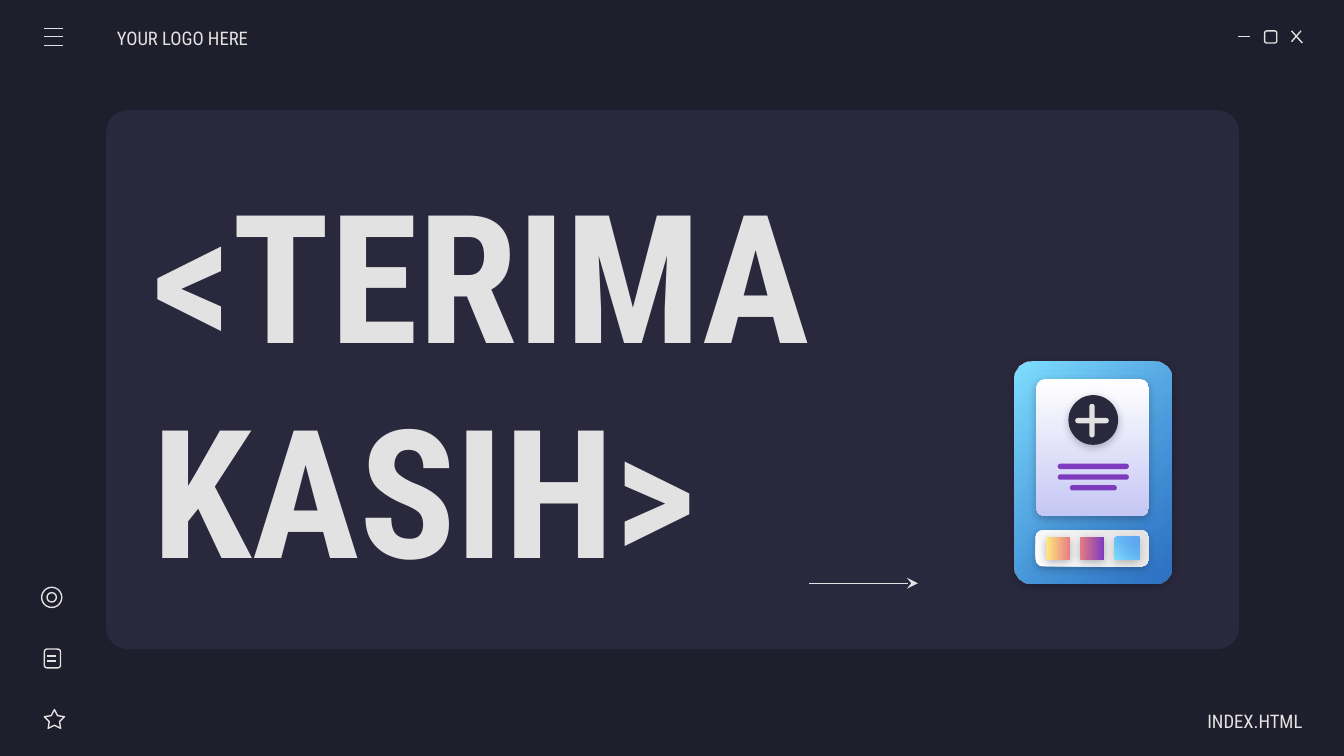
"""Build a dark thank-you slide framed like a code editor window."""
from dataclasses import dataclass
from typing import NamedTuple, Optional

from lxml.etree import SubElement as Sub
from pptx import Presentation as Deck
from pptx.dml.color import RGBColor as Rgb
from pptx.enum.shapes import MSO_CONNECTOR as Link, MSO_SHAPE as Kind
from pptx.enum.text import MSO_ANCHOR as Anchor, PP_ALIGN as Align
from pptx.oxml.ns import qn
from pptx.util import Inches, Pt


@dataclass(frozen=True)
class Theme:
    back: str = "1E1E2C"
    panel: str = "29283D"
    light: str = "E2E2E2"
    white: str = "FFFFFF"
    lilac: str = "C5C7F4"
    purple: str = "7E3BBE"
    yellow: str = "FFEA7D"
    coral: str = "E57C85"
    sky: str = "80DFFF"
    blue: str = "318FFA"
    font: str = "Roboto Condensed"
    small: float = 10
    huge: float = 96
    thin: float = 0.75


class Blend(NamedTuple):
    start: str
    end: str
    angle: int
    alpha: int = 100


class Box(NamedTuple):
    left: float
    top: float
    width: float
    height: float
    kind: Kind = Kind.ROUNDED_RECTANGLE
    bends: tuple = ()
    fill: Optional[str] = None
    blend: Optional[Blend] = None
    shade: int = 0
    turn: int = 0


class Line(NamedTuple):
    x1: float
    y1: float
    x2: float
    y2: float
    head: str = ""


class Label(NamedTuple):
    text: str
    left: float
    top: float
    width: float
    height: float
    size: float
    form: dict
    para: dict
    bold: bool = False


LOOK = Theme()


def tint(text: str) -> Rgb:
    """Turn a hex text into a colour."""
    return Rgb.from_string(text)


def draw_box(slide, box: Box) -> None:
    """Draw one preset shape, outlined when it has no fill."""
    shape = slide.shapes.add_shape(box.kind, *map(Inches, box[:4]))
    shape.rotation = box.turn
    for spot, bend in enumerate(box.bends):
        shape.adjustments[spot] = bend
    if box.blend:
        shape.fill.gradient()
        shape.fill.gradient_angle = 360 - box.blend.angle
        for stop, shade in zip(shape.fill.gradient_stops, box.blend[:2]):
            stop.color.rgb = tint(shade)
        last = shape._element.xpath(".//a:gs/a:srgbClr")[-1]
        Sub(last, qn("a:alpha"), val=str(box.blend.alpha * 1000))
    elif box.fill:
        shape.fill.solid()
        shape.fill.fore_color.rgb = tint(box.fill)
    else:
        shape.fill.background()
    if box.fill or box.blend:
        shape.line.fill.background()
    else:
        shape.line.color.rgb = tint(LOOK.light)
        shape.line.width = Pt(LOOK.thin)
    shape.shadow.inherit = False
    if box.shade:
        glow = Sub(shape._element.spPr.find(qn("a:effectLst")), qn("a:outerShdw"),
                   blurRad=str(Pt(4.5)), dist=str(Pt(1.5)), dir="5400000",
                   algn="bl", rotWithShape="0")
        dark = Sub(glow, qn("a:srgbClr"), val=LOOK.back)
        Sub(dark, qn("a:alpha"), val=str(box.shade * 1000))


def draw_line(slide, line: Line) -> None:
    """Draw one thin line, with an arrowhead if named."""
    link = slide.shapes.add_connector(Link.STRAIGHT, *map(Inches, line[:4]))
    link.line.color.rgb = tint(LOOK.light)
    link.line.width = Pt(LOOK.thin)
    props = link._element.spPr
    if line.head:
        Sub(props.find(qn("a:ln")), qn("a:tailEnd"), type=line.head, w="med", len="med")
    Sub(props, qn("a:effectLst"))


def draw_label(slide, label: Label) -> None:
    """Write one text box."""
    frame = slide.shapes.add_textbox(*map(Inches, label[1:5])).text_frame
    edge = Inches(0.1)
    base = {"word_wrap": True, "vertical_anchor": Anchor.MIDDLE, "margin_left": edge,
            "margin_right": edge, "margin_top": edge, "margin_bottom": edge}
    para = frame.paragraphs[0]
    run = para.add_run()
    run.text = label.text
    run.font.color.rgb = tint(LOOK.light)
    face = {"name": LOOK.font, "size": Pt(label.size), "bold": label.bold}
    for thing, values in ((frame, base | label.form), (para, label.para), (run.font, face)):
        for key, value in values.items():
            setattr(thing, key, value)


def pill(left: float, top: float, width: float, fill: str, turn: int = 0) -> Box:
    """Describe a bar with round ends."""
    return Box(left, top, width, 0.04, bends=(0.5,), fill=fill, turn=turn)


SKY = Blend(LOOK.sky, LOOK.blue, 45, 72)
SWATCHES = (Blend(LOOK.yellow, LOOK.coral, 90), Blend(LOOK.coral, LOOK.purple, 90), SKY)
PANEL = Box(0.79, 0.82, 8.43, 4.01, bends=(0.04,), fill=LOOK.panel)
WINDOW = [
    Line(9.21, 0.27, 9.3, 0.27),
    Box(9.41, 0.23, 0.09, 0.09, bends=(0.167,)),
    Line(9.61, 0.23, 9.69, 0.32),
    Line(9.68, 0.23, 9.61, 0.31),
]
MENU = [Line(0.33, y, 0.47, y) for y in (0.21, 0.34, 0.27)]
ICONS = [
    Box(0.33, 5.28, 0.15, 0.14, Kind.STAR_5_POINT, (0.254, 1.051, 1.106)),
    Box(0.33, 4.83, 0.12, 0.14, bends=(0.167,)),
    *(Line(0.35, y, 0.42, y) for y in (4.88, 4.92)),
    Box(0.31, 4.37, 0.15, 0.15, Kind.OVAL),
    Box(0.35, 4.41, 0.07, 0.07, Kind.OVAL),
]
CARD = Box(7.55, 2.69, 1.17, 1.65, bends=(0.108,), blend=SKY, shade=100)
SHEET = [
    Box(7.71, 2.82, 0.84, 1.02, bends=(0.08,),
        blend=Blend(LOOK.white, LOOK.lilac, 90), shade=30),
    *(pill(left, 3.45 + 0.08 * row, wide, LOOK.purple)
      for row, (left, wide) in enumerate(((7.87, 0.53), (7.87, 0.53), (7.96, 0.35)))),
    Box(7.95, 2.94, 0.37, 0.37, Kind.OVAL, fill=LOOK.panel, shade=30),
    *(pill(8, 3.11, 0.25, LOOK.light, turn) for turn in (0, 90)),
    Box(7.99, 3.66, 0.27, 0.84, bends=(0.198,),
        blend=Blend(LOOK.white, LOOK.light, 45), shade=30, turn=270),
    *(Box(left, 3.99, 0.17, 0.18, bends=(0.073,), blend=blend, shade=30, turn=270)
      for left, blend in zip((7.79, 8.04, 8.3), SWATCHES)),
]
ARROW = Line(6.02, 4.34, 6.83, 4.34, "stealth")
LOGO = Label("YOUR LOGO HERE", 0.87, 0.12, 1.17, 0.3, LOOK.small,
             {"margin_left": 0}, {"line_spacing": 1.15})
FOOT = Label("INDEX.HTML", 8.52, 5.2, 1.17, 0.3, LOOK.small,
             {"margin_right": 0}, {"line_spacing": 1.15, "alignment": Align.RIGHT})
TITLE = Label("<TERIMA KASIH>", 1.04, 1.33, 6.43, 2.98, LOOK.huge, {}, {}, True)
PARTS = (PANEL, *WINDOW, CARD, LOGO, *MENU, *ICONS, FOOT, TITLE, *SHEET, ARROW)
DRAW = {Box: draw_box, Line: draw_line, Label: draw_label}


def main() -> None:
    """Draw every part and save the deck."""
    deck = Deck()
    deck.slide_width = Inches(10)
    deck.slide_height = deck.slide_width * 9 // 16
    slide = deck.slides.add_slide(deck.slide_layouts[6])
    slide.background.fill.solid()
    slide.background.fill.fore_color.rgb = tint(LOOK.back)
    for part in PARTS:
        DRAW[type(part)](slide, part)
    deck.save("out.pptx")


if __name__ == "__main__":
    main()
